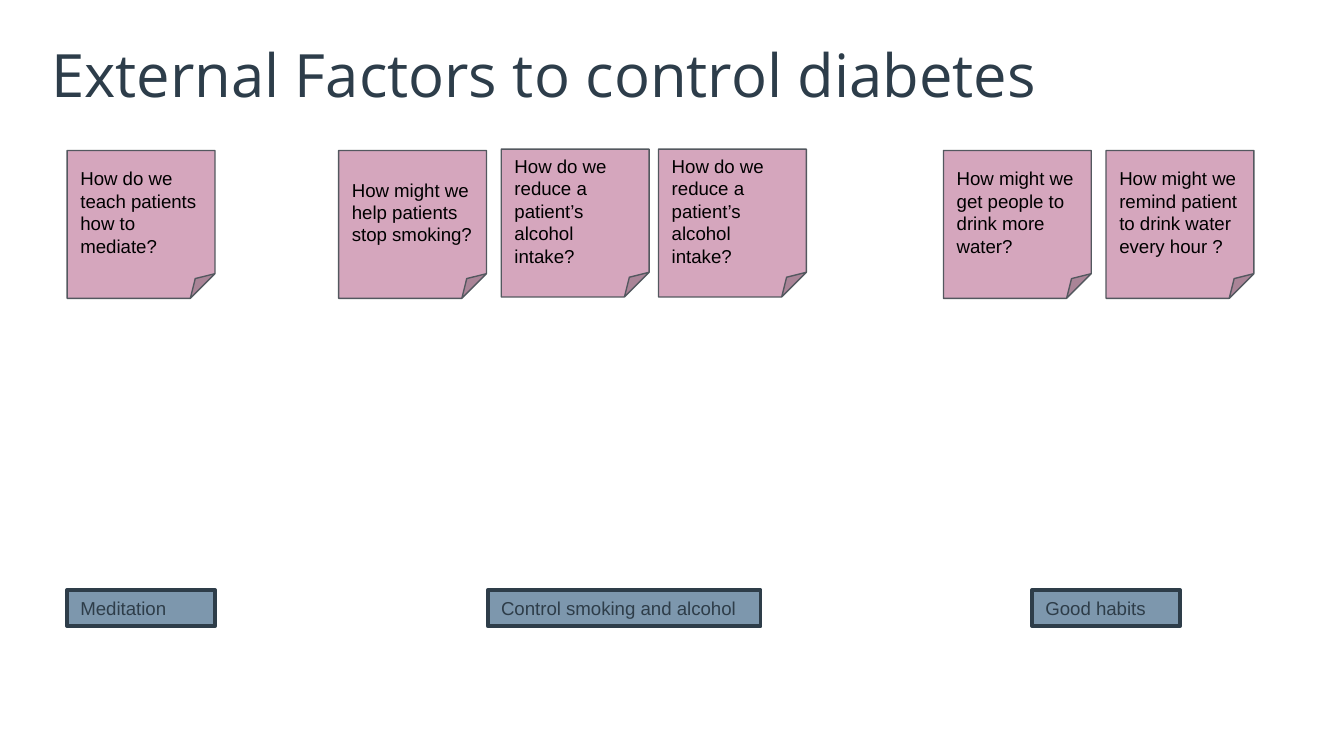
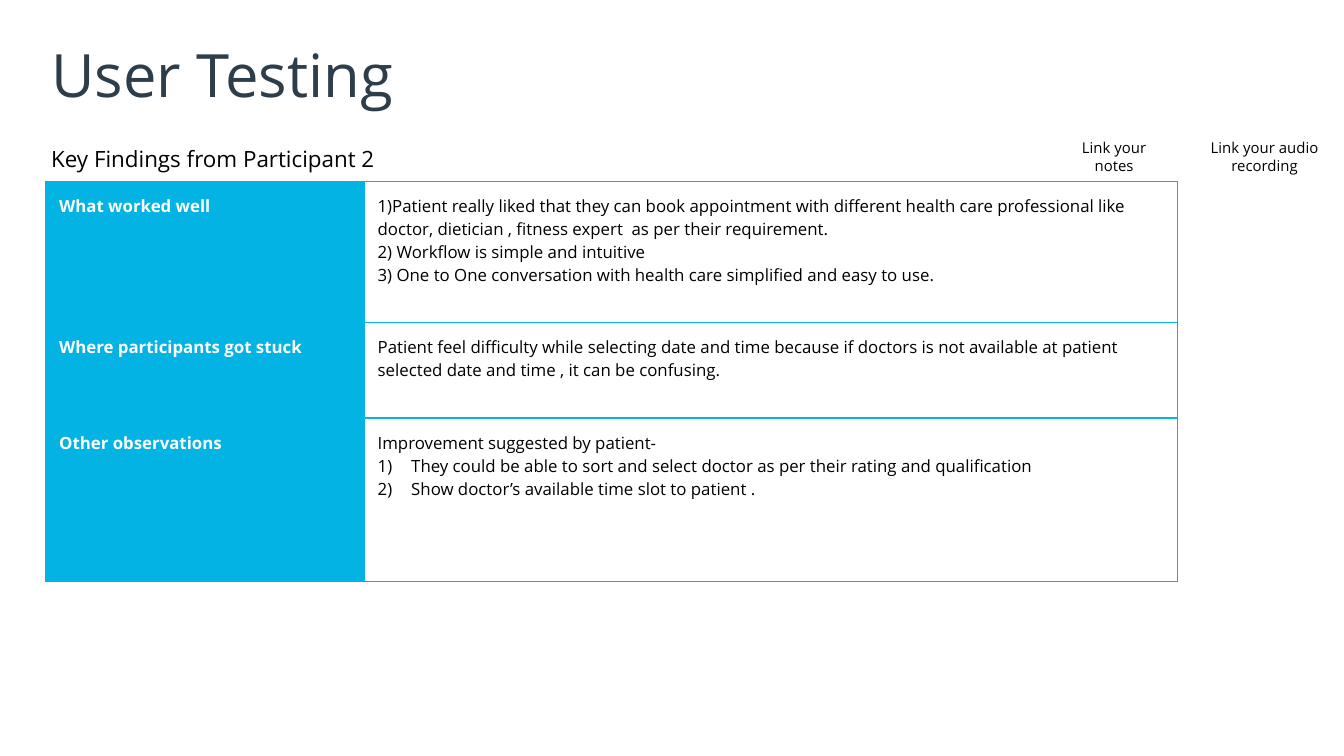
from pptx import Presentation
from pptx.dml.color import RGBColor
from pptx.enum.shapes import MSO_SHAPE as SHAPE
from pptx.enum.text import MSO_ANCHOR as ANCHOR, MSO_AUTO_SIZE as AUTO, PP_ALIGN as ALIGN
from pptx.oxml.ns import qn
from pptx.util import Inches, Pt
from lxml.etree import SubElement, Element

COLS, ROWS = 100, 56.25
TITLE_LAYOUT, BODY_LAYOUT = 5, 1
LEFT, FULL = 3.4, 93.2
BLACK, WHITE, NAVY, STEEL = "000000", "FFFFFF", "2E3D49", "7D97AD"
TITLE, PINK, GREY, CYAN = "2D3D4A", "D5A6BD", "53585F", "02B3E4"
SANS, ARIAL = "Open Sans", "Arial"

NOTE, LABEL_TOP, LABEL_HEIGHT = 11, 43.9, 2.7
ALCOHOL = "How do we reduce a patient’s alcohol intake?"
GROUPS = [
    ("Meditation", 5, 11, [
        (5, 11.2, "How do we teach patients how to mediate?")]),
    ("Control smoking and alcohol", 36.3, 20.3, [
        (25.2, 11.2, "How might we help patients stop smoking?"),
        (37.3, 11.1, ALCOHOL),
        (49, 11.1, ALCOHOL)]),
    ("Good habits", 76.8, 11, [
        (70.2, 11.2, "How might we get people to drink more water?"),
        (82.3, 11.2, "How might we remind patient to drink water every hour ?")]),
]

FINDINGS = [
    ("What worked well", [
        "1)Patient really liked that they can book appointment with different health care "
        "professional like doctor, dietician , fitness expert  as per their requirement.",
        "2) Workflow is simple and intuitive",
        "3) One to One conversation with health care simplified and easy to use."], []),
    ("Where participants got stuck", [
        "Patient feel difficulty while selecting date and time because if doctors is not "
        "available at patient selected date and time , it can be confusing."], []),
    ("Other observations", ["Improvement suggested by patient-"], [
        "They could be able to sort and select doctor as per their rating and qualification",
        "Show doctor’s available time slot to patient ."]),
]
LINKS = [(77.4, ["Link your", "notes"]), (88.6, ["Link your audio recording"])]


def rgb(value):
    return RGBColor.from_string(value)


def write(tf, lines, size=10, font=ARIAL, color=BLACK, bold=False, align=ALIGN.LEFT,
          anchor=ANCHOR.TOP, inset=(0.1, 0.1), numbered=(), spacing=1, before=0):
    tf.word_wrap = True
    tf.vertical_anchor = anchor
    tf.margin_left = tf.margin_right = Inches(inset[0])
    tf.margin_top = tf.margin_bottom = Inches(inset[1])
    for i, text in enumerate([*lines, *numbered]):
        p = tf.paragraphs[0] if i == 0 else tf.add_paragraph()
        p.alignment, p.line_spacing, p.space_before = align, spacing, Pt(before)
        set_bullet(p, i >= len(lines))
        r = p.add_run()
        r.text = text
        r.font.size, r.font.name, r.font.bold = Pt(size), font, bold
        r.font.color.rgb = rgb(color)


def set_bullet(p, numbered):
    pPr = p._p.get_or_add_pPr()
    indent = Inches(0.25) if numbered else 0
    pPr.set("marL", str(indent))
    pPr.set("indent", str(-indent))
    if numbered:
        SubElement(pPr, qn("a:buFont"), typeface=SANS)
        SubElement(pPr, qn("a:buAutoNum"), type="arabicParenR")
    else:
        SubElement(pPr, qn("a:buNone"))


def set_borders(cell, color, width):
    tcPr = cell._tc.get_or_add_tcPr()
    for i, side in enumerate("LRTB"):
        ln = Element(qn(f"a:ln{side}"), w=str(Pt(width)))
        fill = SubElement(ln, qn("a:solidFill"))
        SubElement(fill, qn("a:srgbClr"), val=color)
        tcPr.insert(i, ln)


class Deck:
    """Holds the presentation, its grid and the current slide."""

    def __init__(self):
        self.prs = Presentation()
        self.prs.slide_width, self.prs.slide_height = Inches(10), Inches(5.625)

    def x(self, cols):
        return round(self.prs.slide_width * cols / COLS)

    def y(self, rows):
        return round(self.prs.slide_height * rows / ROWS)

    def box(self, left, top, width, height):
        return self.x(left), self.y(top), self.x(width), self.y(height)

    def slide(self, title, layout):
        self.s = self.prs.slides.add_slide(self.prs.slide_layouts[layout])
        self.s.background.fill.solid()
        self.s.background.fill.fore_color.rgb = rgb(WHITE)
        self.placeholder(0, title, (LEFT, 2.4, FULL, 6.3), size=32, color=TITLE)

    def placeholder(self, idx, text, area, **fmt):
        sp = self.s.placeholders[idx]
        sp.left, sp.top, sp.width, sp.height = self.box(*area)
        sp.text_frame.auto_size = AUTO.NONE
        write(sp.text_frame, [text], font=SANS, inset=(0.04, 0.04), **fmt)

    def shape(self, kind, area, text, fill, line, weight, **fmt):
        sp = self.s.shapes.add_shape(kind, *self.box(*area))
        sp.shadow.inherit = False
        sp.fill.solid()
        sp.fill.fore_color.rgb = rgb(fill)
        sp.line.color.rgb, sp.line.width = rgb(line), Pt(weight)
        write(sp.text_frame, [text], **fmt)
        return sp

    def note(self, left, top, text):
        self.shape(SHAPE.FOLDED_CORNER, (left, top, NOTE, NOTE), text, PINK, GREY, 0.75,
                   anchor=ANCHOR.MIDDLE)

    def label(self, left, width, text):
        sp = self.shape(SHAPE.RECTANGLE, (left, LABEL_TOP, width, LABEL_HEIGHT), text,
                        STEEL, NAVY, 2, color=NAVY, inset=(0.1, 0.05))
        sp.text_frame.auto_size = AUTO.SHAPE_TO_FIT_TEXT

    def text(self, area, lines, **fmt):
        write(self.s.shapes.add_textbox(*self.box(*area)).text_frame, lines, **fmt)

    def table(self, left, top, widths, heights, rows):
        area = self.box(left, top, sum(widths), sum(heights))
        table = self.s.shapes.add_table(len(rows), len(widths), *area).table
        table.first_row = table.horz_banding = False
        for column, width in zip(table.columns, widths):
            column.width = self.x(width)
        for row, height, (head, lines, numbered) in zip(table.rows, heights, rows):
            row.height = self.y(height)
            name, detail = row.cells
            name.fill.solid()
            name.fill.fore_color.rgb = rgb(CYAN)
            detail.fill.background()
            self.cell(name, [head], color=WHITE, bold=True)
            self.cell(detail, lines, numbered=numbered)

    def cell(self, cell, lines, **fmt):
        set_borders(cell, CYAN, 0.75)
        write(cell.text_frame, lines, size=9, font=SANS, **fmt)
        cell.margin_left = cell.margin_right = Inches(0.1)
        cell.margin_top = cell.margin_bottom = Inches(0.1)
        cell.vertical_anchor = ANCHOR.TOP


def external_factors(deck):
    deck.slide("External Factors to control diabetes", TITLE_LAYOUT)
    for name, left, width, notes in GROUPS:
        for note in notes:
            deck.note(*note)
        deck.label(left, width, name)


def user_testing(deck):
    deck.slide("User Testing", BODY_LAYOUT)
    deck.placeholder(1, "Key Findings from Participant 2", (LEFT, 10.1, FULL, 3.4),
                     size=12, spacing=1.15, before=7)
    for left, lines in LINKS:
        deck.text((left, 9.3, 11, 4.8), lines, size=8, font=SANS, align=ALIGN.CENTER)
    deck.table(LEFT, 13.5, [23.7, 60.5], [10.5, 7.1, 12.2], FINDINGS)


def main():
    deck = Deck()
    external_factors(deck)
    user_testing(deck)
    deck.prs.save("out.pptx")


if __name__ == "__main__":
    main()
